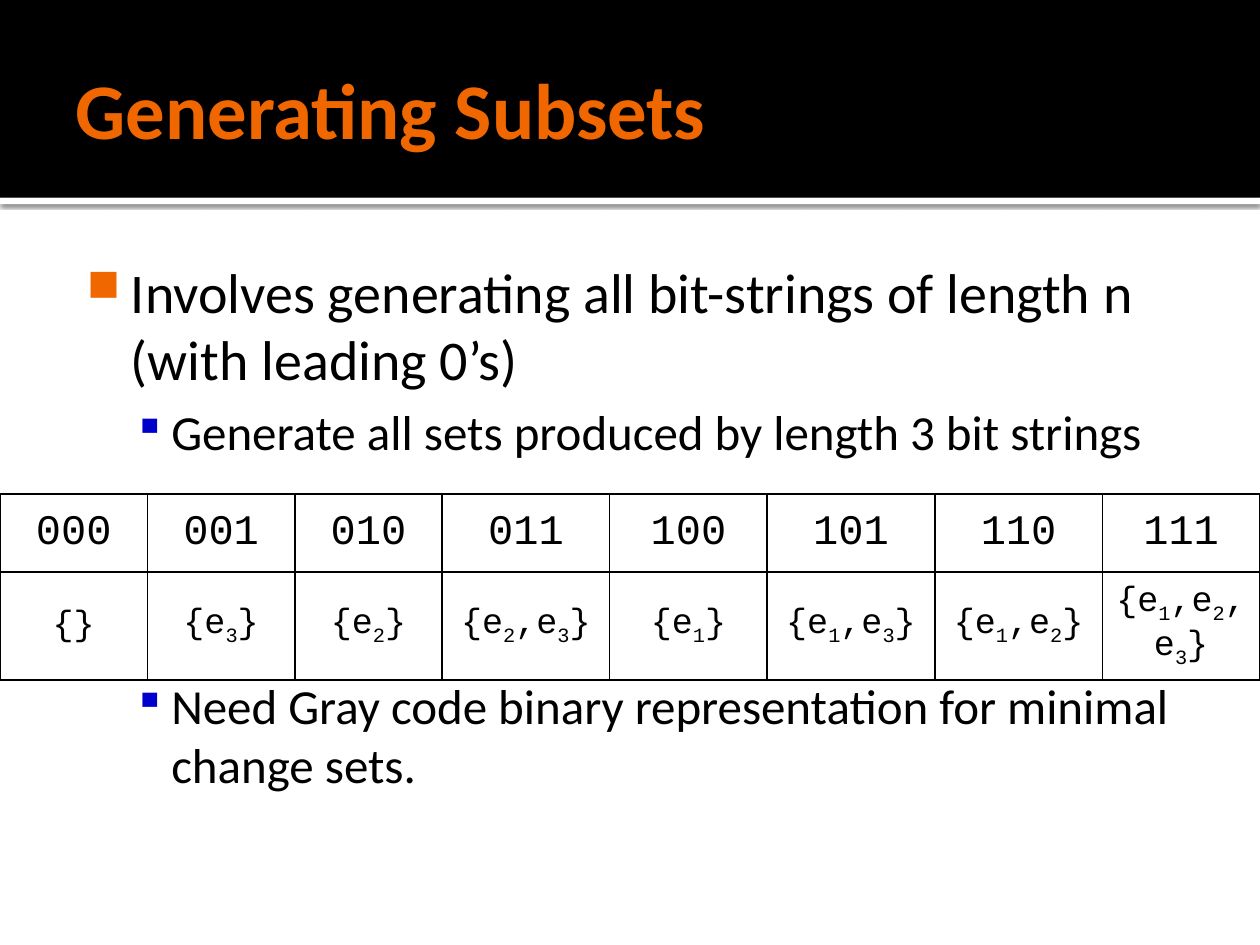
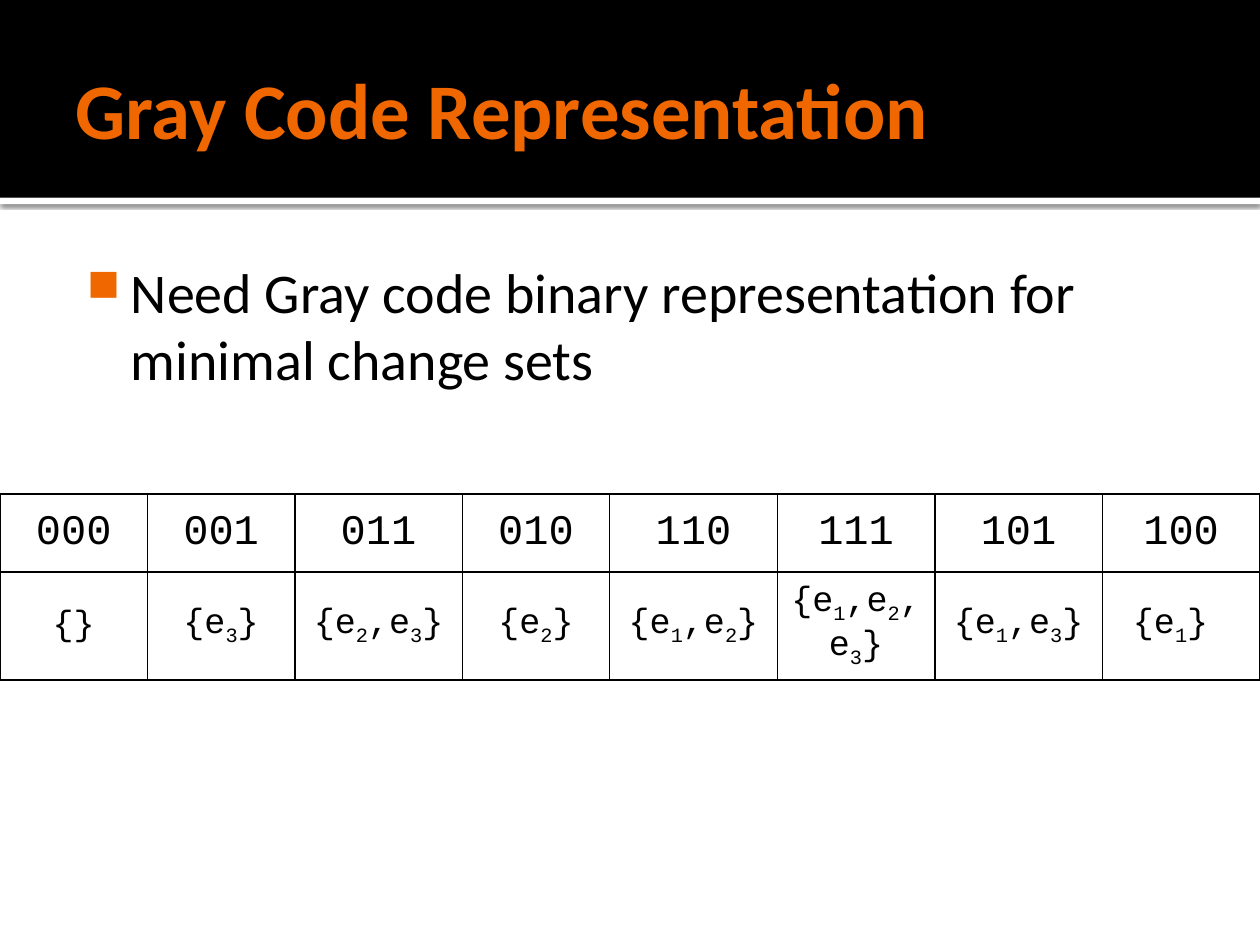
"""Build two slides on subsets and their Gray code order."""
from lxml.etree import SubElement as Sub
from pptx import Presentation
from pptx.dml.color import RGBColor as Rgb
from pptx.enum.shapes import MSO_SHAPE as Kind
from pptx.enum.text import MSO_ANCHOR as Anchor, PP_ALIGN as Align
from pptx.oxml import parse_xml
from pptx.oxml.ns import nsdecls, qn
from pptx.util import Inches, Pt

HUES = {"ink": "000000", "paper": "FFFFFF", "title": "F06700", "sub": "0000CC"}
SANS, MONO = "Calibri", "Courier New"
LEVELS = [
    dict(size=32, left=0.48, hang=0.35, mark="■", hue="title", scale=80),
    dict(size=28, left=0.8, hang=0.3, mark="▪", hue="sub", scale=90),
]


def write(para, text, size=28, font=SANS, hue="ink", bold=False, align=Align.LEFT):
    para.alignment = align
    first, *rest = text.split("_")
    parts = [(first, False)]
    for part in rest:
        parts += [(part[0], True), (part[1:], False)]
    for part, low in parts:
        run = para.add_run()
        run.text = part
        run.font.size, run.font.name, run.font.bold = Pt(size), font, bold
        run.font.color.rgb = Rgb.from_string(HUES[hue])
        if low:
            run.font._element.set("baseline", "-25000")


def subset(code):
    items = [f"e_{n}" for n, bit in enumerate(code, 1) if bit == "1"]
    return "{" + ",".join(items) + "}"


def width(code):
    if code in ("100", "111"):
        return 1.25
    return 1.33 if code.count("1") == 2 else 1.17


class Deck:
    def __init__(self):
        self.file = Presentation()
        self.file.slide_width, self.file.slide_height = Inches(10), Inches(7.5)
        self.slide = None

    def page(self, title):
        self.slide = self.file.slides.add_slide(self.file.slide_layouts[6])
        rule = self.band(1.57, 0.05, "paper")
        rule._element.spPr.find(qn("a:effectLst")).append(parse_xml(
            f'<a:outerShdw {nsdecls("a")} blurRad="31750" dist="10160" '
            'dir="5400000" algn="tl" rotWithShape="0"><a:srgbClr '
            f'val="{HUES["ink"]}"><a:alpha val="60000"/></a:srgbClr></a:outerShdw>'))
        self.band(0, 1.57, "ink")
        frame = self.box(0.17, 1.37, (0.1, 0.05, 0.05, 0.05))
        frame.vertical_anchor = Anchor.MIDDLE
        write(frame.paragraphs[0], title, size=45, hue="title", bold=True)

    def band(self, top, high, hue):
        shape = self.slide.shapes.add_shape(
            Kind.RECTANGLE, 0, Inches(top), Inches(10), Inches(high))
        shape.shadow.inherit = False
        shape.fill.solid()
        shape.fill.fore_color.rgb = Rgb.from_string(HUES[hue])
        shape.line.fill.background()
        return shape

    def box(self, top, high, pads):
        frame = self.slide.shapes.add_textbox(
            Inches(0.5), Inches(top), Inches(9), Inches(high)).text_frame
        frame.word_wrap = True
        (frame.margin_left, frame.margin_top,
         frame.margin_right, frame.margin_bottom) = map(Inches, pads)
        return frame

    def body(self, *items):
        frame = self.box(1.94, 5.06, (0.06, 0.1, 0.1, 0.05))
        for n, (level, gap, text) in enumerate(items):
            para = frame.add_paragraph() if n else frame.paragraphs[0]
            look = LEVELS[level]
            props = para._p.get_or_add_pPr()
            props.set("marL", str(Inches(look["left"])))
            props.set("indent", str(-Inches(look["hang"])))
            tint = Sub(props, qn("a:buClr"))
            Sub(tint, qn("a:srgbClr"), val=HUES[look["hue"]])
            Sub(props, qn("a:buSzPct"), val=str(look["scale"] * 1000))
            Sub(props, qn("a:buChar"), char=look["mark"])
            if n:
                para.space_before = Pt(gap)
            write(para, text, size=look["size"])

    def table(self, codes, tail=""):
        sets = [subset(code) for code in codes]
        sets[-1] += tail
        grid = self.slide.shapes.add_table(
            2, len(codes), 0, Inches(3.92), Inches(10), Inches(1.42)).table
        grid.first_row = grid.horz_banding = False
        for col, code in zip(grid.columns, codes):
            col.width = Inches(width(code))
        rows = ((codes, 24, 0.62), (sets, 20, 0.8))
        for r, (texts, size, high) in enumerate(rows):
            grid.rows[r].height = Inches(high)
            for c, text in enumerate(texts):
                self.cell(grid.cell(r, c), text, size)

    def cell(self, cell, text, size):
        cell.vertical_anchor = Anchor.MIDDLE
        cell.fill.background()
        props = cell._tc.get_or_add_tcPr()
        for n, side in enumerate("LRTB"):
            props.insert(n, parse_xml(
                f'<a:ln{side} {nsdecls("a")} w="12700"><a:solidFill><a:srgbClr '
                f'val="{HUES["ink"]}"/></a:solidFill></a:ln{side}>'))
        write(cell.text_frame.paragraphs[0], text, size=size, font=MONO,
              align=Align.CENTER)


def main():
    deck = Deck()
    deck.page("Generating Subsets")
    deck.body(
        (0, 0, "Involves generating all bit-strings of length n (with leading 0’s)"),
        (1, 5.6, "Generate all sets produced by length 3 bit strings"),
        (1, 123, "Need Gray code binary representation for minimal change sets."))
    deck.table([f"{n:03b}" for n in range(8)])

    deck.page("Gray Code Representation")
    deck.body((0, 0, "Need Gray code binary representation for minimal change sets"))
    deck.table([f"{n ^ n >> 1:03b}" for n in range(8)], tail=" ")
    deck.file.save("out.pptx")


if __name__ == "__main__":
    main()
